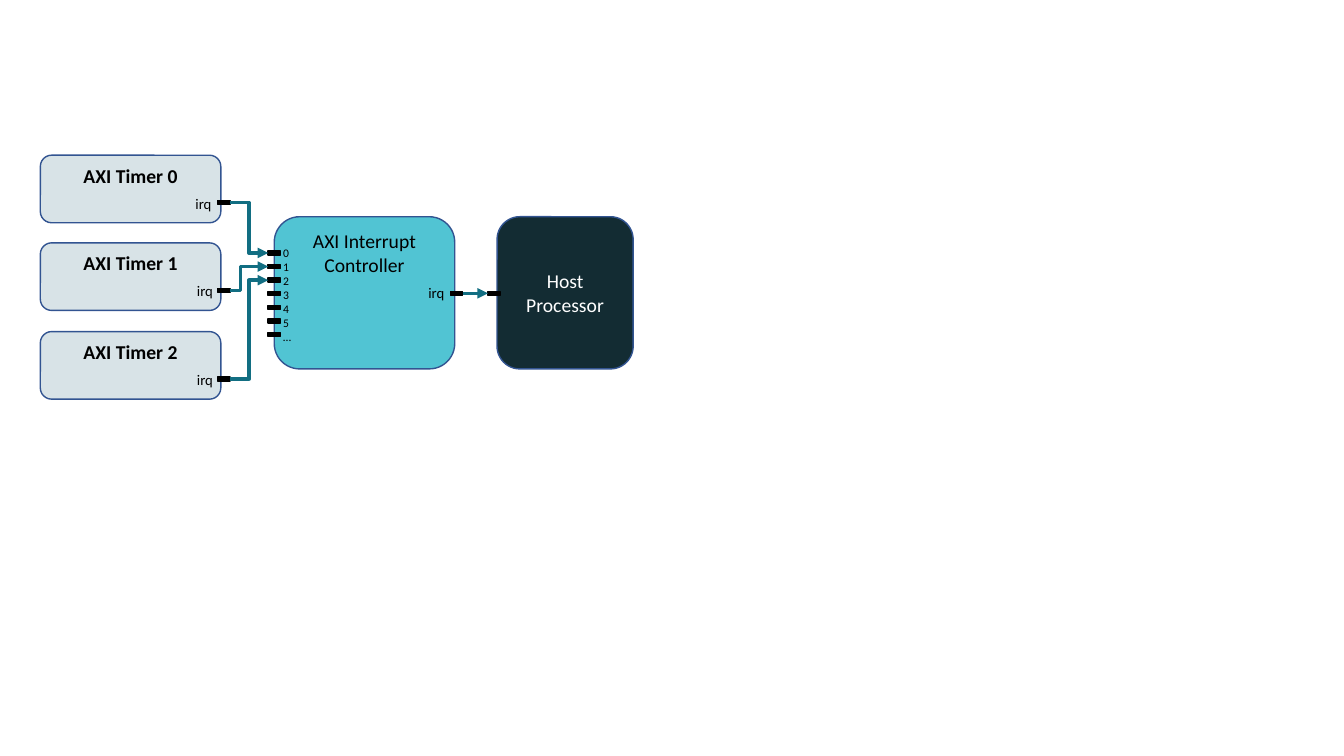
"""Build a slide showing three timers wired through an interrupt controller to a processor."""
import pptx
import pptx.dml.color
import pptx.enum.shapes
import pptx.enum.text
import pptx.oxml
import pptx.oxml.ns
import pptx.util

Inches = pptx.util.Inches
SHAPES = pptx.enum.shapes.MSO_SHAPE
CONNECTORS = pptx.enum.shapes.MSO_CONNECTOR
ALIGN = pptx.enum.text.PP_ALIGN
ANCHOR = pptx.enum.text.MSO_ANCHOR

COLORS = {
    "timer": "D8E3E7",
    "controller": "51C4D3",
    "processor": "132C33",
    "outline": "325491",
    "wire": "126E82",
    "black": "000000",
    "white": "FFFFFF",
}
FONT = "Calibri"

TIMERS = [
    {"name": "AXI Timer 0", "top": 1.54, "label_left": 1.84, "align": ALIGN.LEFT, "bend": 0.5},
    {"name": "AXI Timer 1", "top": 2.41, "label_left": 1.85, "align": ALIGN.RIGHT, "bend": 0.28},
    {"name": "AXI Timer 2", "top": 3.29, "label_left": 1.85, "align": ALIGN.RIGHT, "bend": 0.5},
]
TIMER_LEFT, TIMER_SIZE = 0.4, (1.79, 0.67)
CONTROLLER = ("AXI Interrupt Controller", (2.72, 2.15, 1.79, 1.51))
PROCESSOR = ("Host Processor", (4.93, 2.15, 1.35, 1.51))
OUTPUT_LABEL = "irq"
INPUT_LABELS = ["0", "1", "2", "3", "4", "5", "…"]
INPUT_LEFT, FIRST_INPUT_TOP, LAST_INPUT_TOP = 2.66, 2.49, 3.3
PIN_SIZE = (0.12, 0.04)
LABEL_SIZE = (0.36, 0.28)


def color(name):
    """Return the named palette colour."""
    return pptx.dml.color.RGBColor.from_string(COLORS[name])


def format_text(shape, size, ink, align, bold=False):
    """Format every paragraph of a shape alike."""
    for paragraph in shape.text_frame.paragraphs:
        paragraph.alignment = align
        for run in paragraph.runs:
            run.font.name = FONT
            run.font.size = pptx.util.Pt(size)
            run.font.bold = bold
            run.font.color.rgb = color(ink)


def add_filled(shapes, kind, box, fill, outline):
    """Add a filled and outlined preset shape."""
    shape = shapes.add_shape(kind, *map(Inches, box))
    shape.shadow.inherit = False
    shape.fill.solid()
    shape.fill.fore_color.rgb = color(fill)
    shape.line.color.rgb = color(outline)
    shape.line.width = pptx.util.Pt(1)
    return shape


def add_block(shapes, text, box, fill, ink="black", anchor=ANCHOR.TOP, bold=False):
    """Add a rounded block with its name."""
    block = add_filled(shapes, SHAPES.ROUNDED_RECTANGLE, box, fill, "outline")
    block.text_frame.text = text
    block.text_frame.word_wrap = True
    block.text_frame.vertical_anchor = anchor
    format_text(block, 14, ink, ALIGN.CENTER, bold)


def add_pin(shapes, left, top):
    """Add a black pin."""
    return add_filled(shapes, SHAPES.RECTANGLE, (left, top, *PIN_SIZE), "black", "black")


def add_label(shapes, text, box, size, align=ALIGN.LEFT):
    """Add an unwrapped label."""
    label = shapes.add_textbox(*map(Inches, box))
    label.text_frame.text = text
    label.text_frame.word_wrap = False
    label.text_frame.auto_size = pptx.enum.text.MSO_AUTO_SIZE.SHAPE_TO_FIT_TEXT
    format_text(label, size, "black", align)


def add_wire(shapes, source, target, kind, bend=None):
    """Join the right side of one pin to the left side of another with an arrow."""
    wire = shapes.add_connector(kind, 0, 0, 0, 0)
    wire.begin_connect(source, 3)
    wire.end_connect(target, 1)
    wire.line.color.rgb = color("wire")
    wire.line.width = pptx.util.Pt(2.5)
    properties = wire._element.spPr
    line = wire.line._get_or_add_ln()
    line.append(pptx.oxml.parse_xml(f'<a:tailEnd {pptx.oxml.ns.nsdecls("a")} type="triangle"/>'))
    properties.append(pptx.oxml.parse_xml(f'<a:effectLst {pptx.oxml.ns.nsdecls("a")}/>'))
    if bend is not None:
        guide = f'<a:gd {pptx.oxml.ns.nsdecls("a")} name="adj1" fmla="val {round(bend * 100000)}"/>'
        properties.find(".//" + pptx.oxml.ns.qn("a:avLst")).append(pptx.oxml.parse_xml(guide))


def add_timer(shapes, timer):
    """Add a grouped timer and return its output pin."""
    group = shapes.add_group_shape().shapes
    top = timer["top"]
    add_block(group, timer["name"], (TIMER_LEFT, top, *TIMER_SIZE), "timer", bold=True)
    pin = add_pin(group, 2.16, top + 0.45)
    label_box = (timer["label_left"], top + 0.34, *LABEL_SIZE)
    add_label(group, OUTPUT_LABEL, label_box, 10.5, timer["align"])
    return pin


def main():
    """Draw the diagram and save it."""
    presentation = pptx.Presentation()
    presentation.slide_width = Inches(13.33)
    presentation.slide_height = Inches(7.5)
    shapes = presentation.slides.add_slide(presentation.slide_layouts[6]).shapes

    add_block(shapes, *CONTROLLER, "controller")
    add_block(shapes, *PROCESSOR, "processor", "white", ANCHOR.MIDDLE)
    timer_pins = [add_timer(shapes, timer) for timer in TIMERS]

    pitch = (LAST_INPUT_TOP - FIRST_INPUT_TOP) / (len(INPUT_LABELS) - 1)
    input_pins = [
        add_pin(shapes, INPUT_LEFT, FIRST_INPUT_TOP + index * pitch)
        for index in range(len(INPUT_LABELS))
    ]
    add_label(shapes, "\n".join(INPUT_LABELS), (2.71, 2.39, 0.28, 1.08), 8.3)
    for timer, source, target in zip(TIMERS, timer_pins, input_pins):
        add_wire(shapes, source, target, CONNECTORS.ELBOW, timer["bend"])

    controller_pin = add_pin(shapes, 4.47, 2.89)
    processor_pin = add_pin(shapes, 4.84, 2.89)
    add_label(shapes, OUTPUT_LABEL, (4.15, 2.77, *LABEL_SIZE), 10.5)
    add_wire(shapes, controller_pin, processor_pin, CONNECTORS.STRAIGHT)

    presentation.save("out.pptx")


if __name__ == "__main__":
    main()
